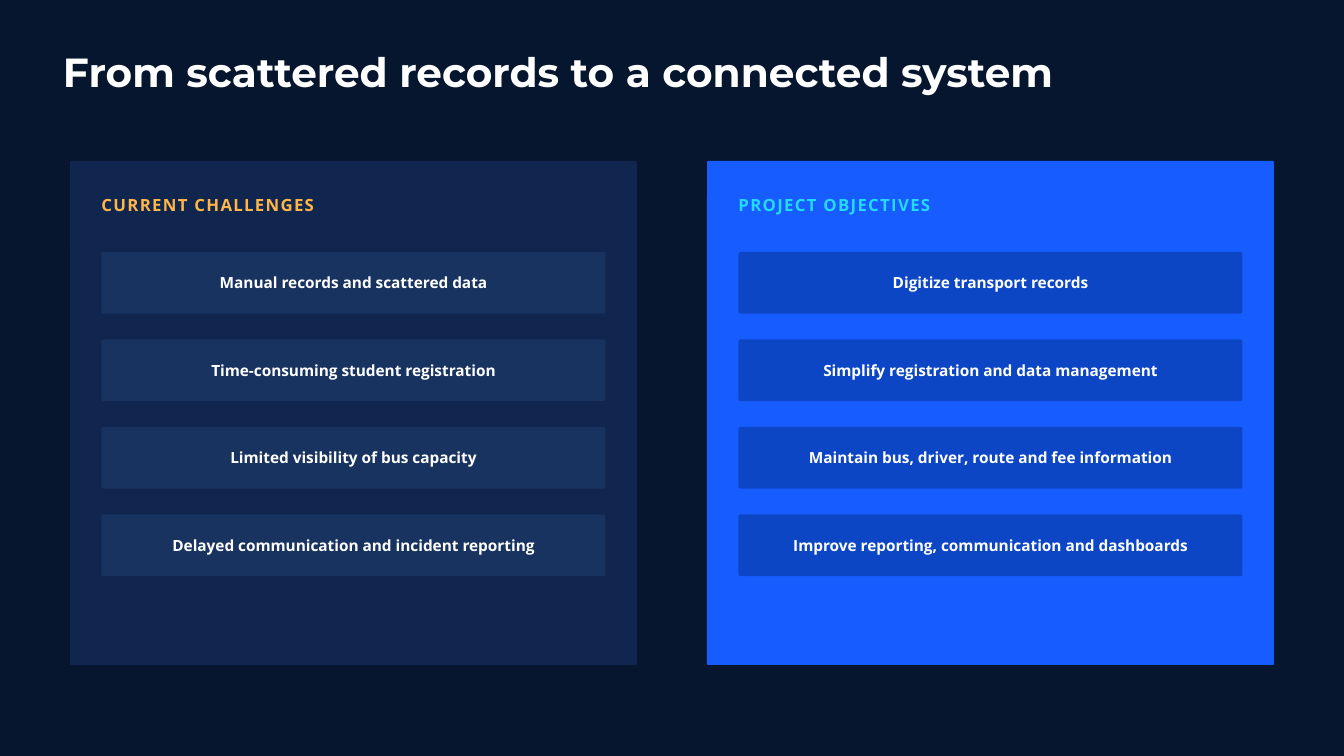
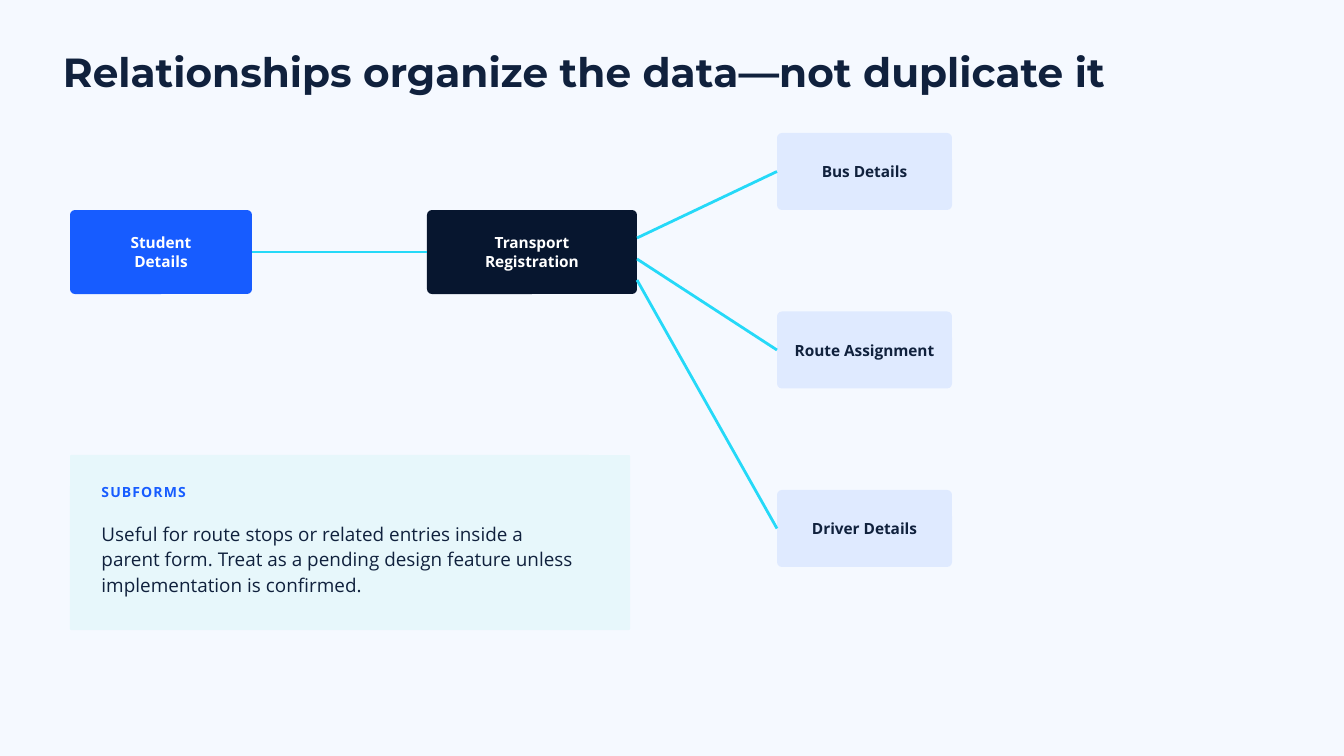
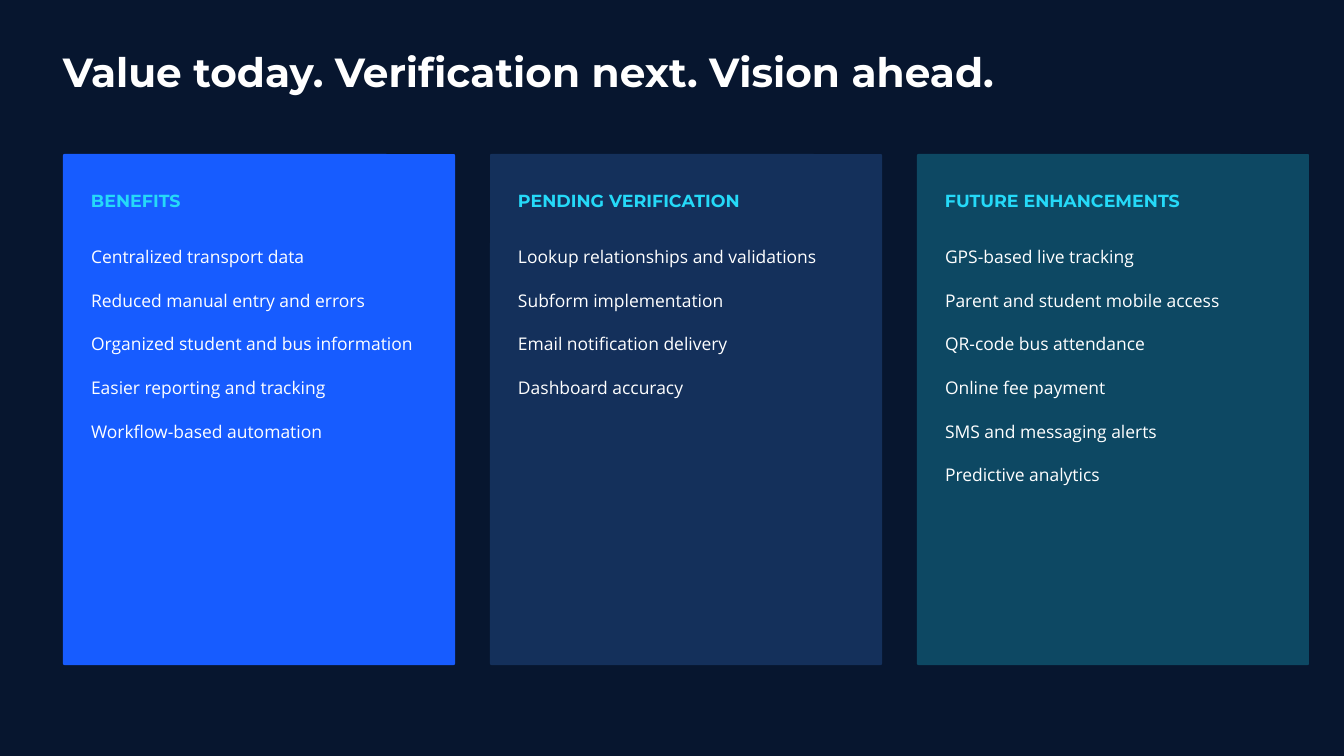
from lxml import etree
from pptx import Presentation, util as u
from pptx.dml.color import RGBColor
from pptx.enum import shapes, text
from pptx.oxml.ns import qn

COLS, ROWS = 192, 108
WIDTH, HEIGHT = u.Inches(20), u.Inches(11.25)

COLORS = {
    "navy": "07162F", "paper": "F5F9FF", "white": "FFFFFF", "ink": "10213D",
    "blue": "175CFF", "cyan": "25D9F8", "amber": "FFB547", "royal": "0D46C5",
    "indigo": "10264E", "slate": "18335F", "steel": "14305B", "teal": "0D4863",
    "sky": "DFEAFF", "mint": "E7F7FB",
}

# font, size, line spacing, bold, letter spacing (all in points)
STYLES = {
    "title": ("Montserrat", 43.5, 47, True, 0),
    "panel": ("Open Sans", 18, 25.2, True, 1.4),
    "box": ("Open Sans", 16.5, 19.8, True, 0),
    "label": ("Open Sans", 15, 21, True, 1.2),
    "body": ("Open Sans", 20.25, 27.3, False, 0),
    "column": ("Montserrat", 18.75, 26.25, True, 0),
    "list": ("Open Sans", 18.75, 23.4, False, 0),
}


def rgb(name):
    return RGBColor.from_string(COLORS[name])


def grid(x, y, w, h):
    """Turn columns and rows into slide lengths."""
    return (int(x * WIDTH / COLS), int(y * HEIGHT / ROWS),
            int(w * WIDTH / COLS), int(h * HEIGHT / ROWS))


def write(tf, lines, style, color, align=text.PP_ALIGN.LEFT,
          anchor=text.MSO_ANCHOR.TOP, inset=0, gap=0):
    """Fill a text frame with one paragraph per line, gap points apart."""
    font, size, leading, bold, tracking = STYLES[style]
    tf.word_wrap = True
    tf.auto_size = text.MSO_AUTO_SIZE.NONE
    tf.vertical_anchor = anchor
    tf.margin_left = tf.margin_right = u.Inches(inset)
    tf.margin_top = tf.margin_bottom = u.Inches(inset)
    for i, line in enumerate(lines):
        p = tf.add_paragraph() if i else tf.paragraphs[0]
        p.alignment = align
        p.line_spacing = u.Pt(leading)
        p.space_before = u.Pt(gap if i else 0)
        r = p.add_run()
        r.text = line
        r.font.name, r.font.size, r.font.bold = font, u.Pt(size), bold
        r.font.color.rgb = rgb(color)
        if tracking:
            r._r.get_or_add_rPr().set("spc", str(round(tracking * 100)))


def add_slide(prs, title, background, color):
    s = prs.slides.add_slide(prs.slide_layouts[5])
    s.background.fill.solid()
    s.background.fill.fore_color.rgb = rgb(background)
    sp = s.shapes.title
    sp.left, sp.top, sp.width, sp.height = grid(9, 7.4, 174, 6.3)
    write(sp.text_frame, [title], "title", color)
    return s


def add_text(s, box, lines, style, color, gap=0):
    sp = s.shapes.add_textbox(*grid(*box))
    write(sp.text_frame, lines, style, color, gap=gap)


def add_panel(s, box, fill, radius=0.2):
    sp = s.shapes.add_shape(shapes.MSO_SHAPE.ROUNDED_RECTANGLE, *grid(*box))
    sp.adjustments[0] = radius / min(box[2:])
    sp.shadow.inherit = False
    sp.fill.solid()
    sp.fill.fore_color.rgb = rgb(fill)
    sp.line.fill.background()
    return sp


def add_box(s, box, lines, fill, color="white", radius=0.7):
    """Add a panel with centred text."""
    sp = add_panel(s, box, fill, radius)
    write(sp.text_frame, lines, "box", color, text.PP_ALIGN.CENTER,
          text.MSO_ANCHOR.MIDDLE, inset=0.06)
    return sp


def add_link(s, x, y, target, source=None):
    """Draw a line from a grid point, or a source's right side, to target's left."""
    left, top, _, _ = grid(x, y, 0, 0)
    line = s.shapes.add_connector(shapes.MSO_CONNECTOR.STRAIGHT, left, top, left, top)
    if source is not None:
        line.begin_connect(source, 3)
    line.end_connect(target, 1)
    line.line.color.rgb = rgb("cyan")
    line.line.width = u.Pt(3)
    etree.SubElement(line._element.spPr, qn("a:effectLst"))


def add_card_panel(s, x, heading, heading_color, fill, card_fill, cards):
    add_panel(s, (x, 23, 81, 72), fill)
    add_text(s, (x + 4.5, 27.3, 72, 3.1), [heading], "panel", heading_color)
    for i, card in enumerate(cards):
        add_box(s, (x + 4.5, 36 + 12.5 * i, 72, 8.8), [card], card_fill, radius=0.3)


def add_list_panel(s, x, heading, fill, items):
    add_panel(s, (x, 22, 56, 73), fill)
    add_text(s, (x + 4, 26.7, 48, 3.3), [heading], "column", "cyan")
    add_text(s, (x + 4, 35, 47, 6.2 * len(items)), items, "list", "white", gap=23.4)


def challenges_slide(prs):
    s = add_slide(prs, "From scattered records to a connected system", "navy", "white")
    add_card_panel(s, 10, "CURRENT CHALLENGES", "amber", "indigo", "slate", [
        "Manual records and scattered data",
        "Time-consuming student registration",
        "Limited visibility of bus capacity",
        "Delayed communication and incident reporting",
    ])
    add_card_panel(s, 101, "PROJECT OBJECTIVES", "cyan", "blue", "royal", [
        "Digitize transport records",
        "Simplify registration and data management",
        "Maintain bus, driver, route and fee information",
        "Improve reporting, communication and dashboards",
    ])


def relationships_slide(prs):
    s = add_slide(prs, "Relationships organize the data—not duplicate it", "paper", "ink")
    student = add_box(s, (10, 30, 26, 12), ["Student", "Details"], "blue")
    registration = add_box(s, (61, 30, 30, 12), ["Transport", "Registration"], "navy")
    details = [add_box(s, (111, 19 + 25.5 * i, 25, 11), [name], "sky", "ink")
               for i, name in enumerate(["Bus Details", "Route Assignment", "Driver Details"])]
    add_link(s, 36, 36, registration, student)
    for i, detail in enumerate(details):
        add_link(s, 91, 34 + 3 * i, detail)
    add_panel(s, (10, 65, 80, 25), "mint")
    add_text(s, (14.5, 68.7, 70, 2.6), ["SUBFORMS"], "label", "blue")
    add_text(s, (14.5, 74.2, 69, 10.7), [
        "Useful for route stops or related entries inside a parent form. "
        "Treat as a pending design feature unless implementation is confirmed.",
    ], "body", "ink")


def outlook_slide(prs):
    s = add_slide(prs, "Value today. Verification next. Vision ahead.", "navy", "white")
    columns = [
        ("BENEFITS", "blue", [
            "Centralized transport data", "Reduced manual entry and errors",
            "Organized student and bus information", "Easier reporting and tracking",
            "Workflow-based automation"]),
        ("PENDING VERIFICATION", "steel", [
            "Lookup relationships and validations", "Subform implementation",
            "Email notification delivery", "Dashboard accuracy"]),
        ("FUTURE ENHANCEMENTS", "teal", [
            "GPS-based live tracking", "Parent and student mobile access",
            "QR-code bus attendance", "Online fee payment",
            "SMS and messaging alerts", "Predictive analytics"]),
    ]
    for i, (heading, fill, items) in enumerate(columns):
        add_list_panel(s, 9 + 61 * i, heading, fill, items)


def main():
    prs = Presentation()
    prs.slide_width, prs.slide_height = WIDTH, HEIGHT
    challenges_slide(prs)
    relationships_slide(prs)
    outlook_slide(prs)
    prs.save("out.pptx")


if __name__ == "__main__":
    main()
